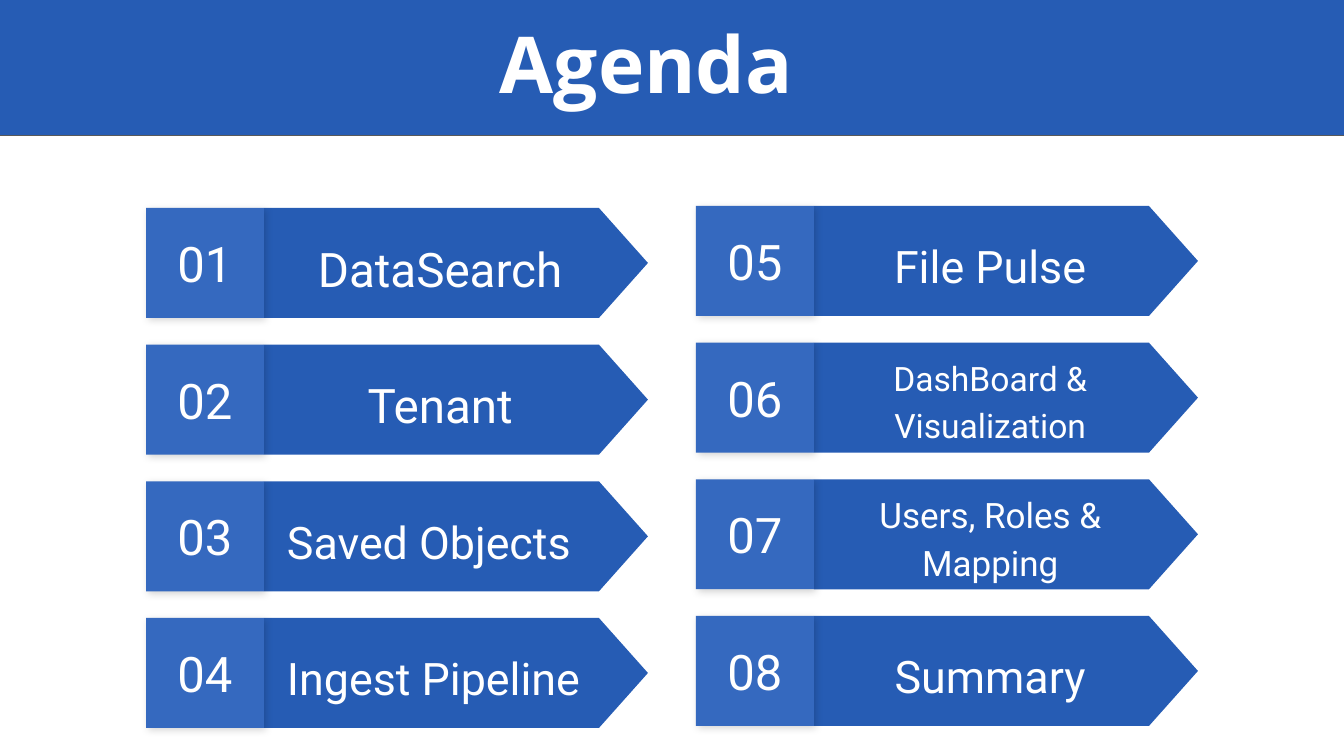
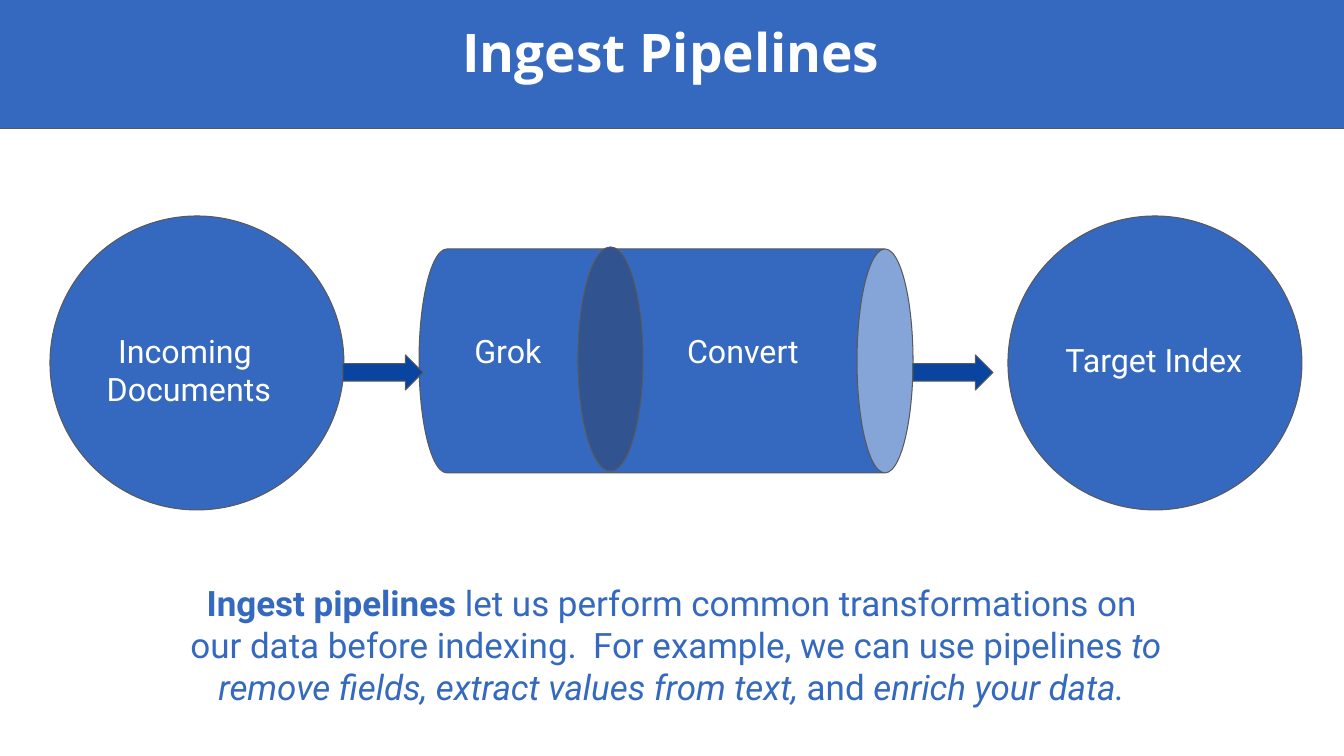
from lxml.etree import SubElement
from pptx import Presentation
from pptx.dml.color import RGBColor
from pptx.enum.shapes import MSO_SHAPE
from pptx.enum.text import MSO_ANCHOR, PP_ALIGN
from pptx.oxml.ns import qn
from pptx.util import Emu, Pt

# Shared scale, colours and fonts
EMU_PER_PX = 12192000 / 1344
WHITE, DEEP, BLUE = "FFFFFF", "265CB4", "3569BF"
NAVY, ARROW, OUTLINE = "31538F", "0944A1", "595959"
TITLE_FONT, BODY_FONT = "Open Sans", "Roboto"

# Agenda entries: number, label lines, size, alignment
CENTER, LEFT = PP_ALIGN.CENTER, PP_ALIGN.LEFT
AGENDA = [
    ("01", ["DataSearch"], 34, CENTER),
    ("02", ["Tenant"], 34, CENTER),
    ("03", ["Saved Objects"], 32, LEFT),
    ("04", ["Ingest Pipeline"], 32, LEFT),
    ("05", ["File Pulse"], 32, CENTER),
    ("06", ["DashBoard & Visualization"], 24, CENTER),
    ("07", ["Users, Roles &", "Mapping"], 25, CENTER),
    ("08", ["Summary"], 32, CENTER),
]
AGENDA_COLUMNS = [(146, 208), (696, 206)]
ROWS, ROW_SPAN = 4, 410
ROW_HEIGHT, NUMBER_WIDTH, ARROW_WIDTH, TIP = 110, 118, 384, 49


def px(length):
    return Emu(round(length * EMU_PER_PX))


def color(hex_value):
    return RGBColor.from_string(hex_value)


def write(shape, paragraphs, size=23, font=BODY_FONT, fill=WHITE, bold=False,
          align=CENTER, anchor=MSO_ANCHOR.TOP, spacing=1.0,
          insets=(10, 10, 10, 10)):
    """Each paragraph is a string or a list of (text, format) runs."""
    frame = shape.text_frame
    frame.word_wrap = True
    frame.vertical_anchor = anchor
    (frame.margin_left, frame.margin_top,
     frame.margin_right, frame.margin_bottom) = map(px, insets)
    for index, content in enumerate(paragraphs):
        paragraph = frame.add_paragraph() if index else frame.paragraphs[0]
        paragraph.alignment = align
        paragraph.line_spacing = spacing
        runs = [(content, {})] if isinstance(content, str) else content
        for text, style in runs:
            run = paragraph.add_run()
            run.text = text
            run.font.name = font
            run.font.size = Pt(style.get("size", size))
            run.font.bold = style.get("bold", bold)
            run.font.italic = style.get("italic", False)
            run.font.color.rgb = color(fill)


def add_text(slide, box, paragraphs, **style):
    write(slide.shapes.add_textbox(*map(px, box)), paragraphs, **style)


def add_block(slide, kind, box, fill, line=None, adjust=None):
    block = slide.shapes.add_shape(kind, *map(px, box))
    block.shadow.inherit = False
    block.fill.solid()
    block.fill.fore_color.rgb = color(fill)
    if line:
        block.line.color.rgb = color(line)
        block.line.width = Pt(0.75)
    else:
        block.line.fill.background()
    if adjust is not None:
        block.adjustments[0] = adjust
    return block


def add_soft_shadow(block):
    effects = block._element.spPr.find(qn("a:effectLst"))
    shadow = SubElement(effects, qn("a:outerShdw"), blurRad=str(Pt(5.6)),
                        dist=str(Pt(2.2)), dir="2700000", algn="bl",
                        rotWithShape="0")
    black = SubElement(shadow, qn("a:srgbClr"), val="000000")
    SubElement(black, qn("a:alpha"), val="17000")


def add_header(slide, title, band, band_fill, title_box, **style):
    add_block(slide, MSO_SHAPE.RECTANGLE, band, band_fill, OUTLINE)
    add_text(slide, title_box, [title], font=TITLE_FONT, bold=True, **style)


def add_agenda_row(slide, left, top, number, label, size, align):
    arrow = add_block(slide, MSO_SHAPE.PENTAGON,
                      (left + NUMBER_WIDTH, top, ARROW_WIDTH, ROW_HEIGHT),
                      DEEP, adjust=TIP / ROW_HEIGHT)
    write(arrow, label, size=size, align=align, spacing=1.15,
          anchor=MSO_ANCHOR.MIDDLE, insets=(23, 2, 30, 0))
    tile = add_block(slide, MSO_SHAPE.RECTANGLE,
                     (left, top, NUMBER_WIDTH, ROW_HEIGHT), BLUE)
    add_soft_shadow(tile)
    write(tile, [number], size=35, anchor=MSO_ANCHOR.MIDDLE,
          insets=(13, 13, 13, 13))


def build_agenda(slide):
    add_header(slide, "Agenda", (-13, -22, 1375, 158), DEEP,
               (364, -18, 565, 146), size=56, spacing=1.15,
               anchor=MSO_ANCHOR.MIDDLE, insets=(10, 5, 10, 5))
    for index, entry in enumerate(AGENDA):
        column, row = divmod(index, ROWS)
        left, top = AGENDA_COLUMNS[column]
        add_agenda_row(slide, left, top + row * ROW_SPAN / (ROWS - 1), *entry)


def build_pipeline(slide):
    add_header(slide, "Ingest Pipelines", (-7, -14, 1371, 143), BLUE,
               (297, 17, 748, 79), size=38, spacing=0.9)

    # Source and target
    for left in (50, 1008):
        add_block(slide, MSO_SHAPE.OVAL, (left, 216, 294, 294), BLUE, OUTLINE)

    # Pipe with its two processors
    pipe = add_block(slide, MSO_SHAPE.CAN, (554, 114, 224, 494), BLUE,
                     OUTLINE, adjust=0.25)
    pipe.rotation = 90
    add_block(slide, MSO_SHAPE.OVAL, (578, 247, 65, 224), NAVY, OUTLINE)

    # Flow arrows
    for left in (343, 913):
        add_block(slide, MSO_SHAPE.RIGHT_ARROW, (left, 355, 80, 35), ARROW,
                  OUTLINE)

    # Stage labels
    for left, top, lines in [(80, 321, ["Incoming ", "Documents"]),
                             (399, 321, ["Grok"]),
                             (634, 321, ["Convert"]),
                             (1045, 330, ["Target Index"])]:
        add_text(slide, (left, top, 218, 59), lines)

    # Explanation
    italic = {"italic": True}
    add_text(slide, (168, 577, 1007, 179), [
        [("Ingest pipelines", {"bold": True}),
         (" let us perform common transformations on", {})],
        [(" our data before indexing. ", {}),
         (" ", {"size": 22}),
         ("For example, we can use pipelines ", {}),
         ("to remove fields, extract values from text, ", italic),
         ("and", {}),
         (" enrich your data.", italic)],
    ], size=25, fill=BLUE, insets=(10, 5, 10, 5))


def main():
    deck = Presentation()
    deck.slide_width, deck.slide_height = px(1344), px(756)
    for build in (build_agenda, build_pipeline):
        build(deck.slides.add_slide(deck.slide_layouts[6]))
    deck.save("out.pptx")


if __name__ == "__main__":
    main()
